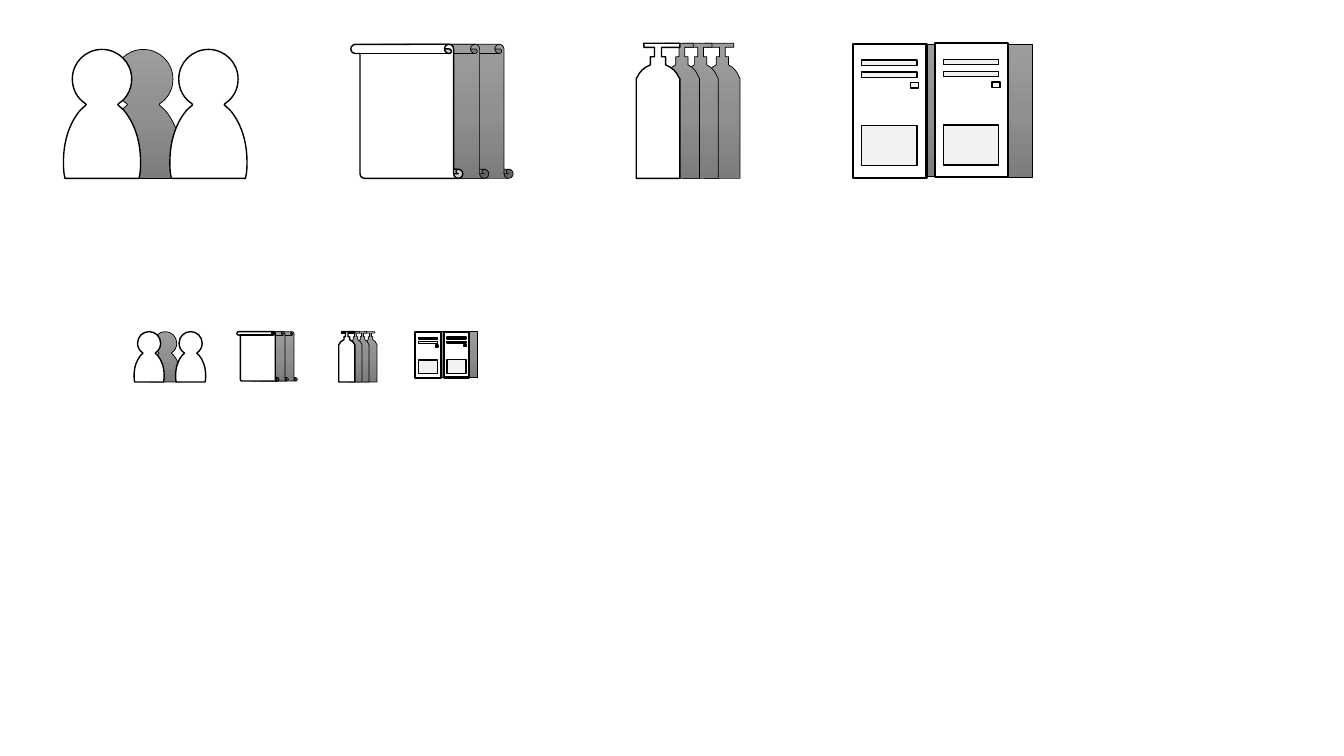
from copy import deepcopy
from pptx import Presentation, util as u
from pptx.dml.color import RGBColor
from pptx.enum import shapes as sh
from pptx.oxml.ns import qn


class Theme:
    ink, paper, panel = "000000", "FFFFFF", "F2F2F2"
    shade = ("9D9D9D", "909090", "7C7C7C")
    thin, line, bold = 0.5, 1, 1.5


# Right halves, as shares of half width and of height; six numbers make a curve.
PERSON = [(0, 0), (.42, 0, .77, .1, .77, .23), (.77, .31, .64, .38, .43, .42),
          (.41, .43), (.56, .47), (.82, .56, 1, .7, 1, .87),
          (1, .9, 1, .94, .98, .97), (.96, 1)]
BOTTLE = [(.16, .03), (.16, .1), (.35, .1), (.35, .16),
          (.66, .18, .84, .21, .95, .25), (1, .26), (1, .29), (1, 1)]
LABELS = [(.12, .12, .75, .04), (.12, .21, .75, .04),
          (.12, .61, .75, .3), (.78, .29, .11, .04)]


def inner(box, part):
    """Turn shares of a box into inches."""
    x, y, w, h = box
    a, b, c, d = part
    return x + a * w, y + b * h, c * w, d * h


def flat(steps):
    """List each point with a flag that tells if it steers a curve."""
    return [(step[k], step[k + 1], k + 2 < len(step))
            for step in steps for k in range(0, len(step), 2)]


def bend(shape, steers):
    """Join each pair of steering points and the next point into a curve."""
    nodes = shape.element.spPr.findall(".//" + qn("a:lnTo"))
    i = 0
    while i < len(nodes):
        if not steers[i]:
            i += 1
            continue
        nodes[i].tag = qn("a:cubicBezTo")
        for node in nodes[i + 1:i + 3]:
            nodes[i].append(node[0])
            node.getparent().remove(node)
        i += 3


def paint(shape, color, width):
    shape.shadow.inherit = False
    shape.line.color.rgb = RGBColor.from_string(Theme.ink)
    shape.line.width = u.Pt(width)
    if color != Theme.shade:
        shape.fill.solid()
        shape.fill.fore_color.rgb = RGBColor.from_string(color)
        return
    shape.fill.gradient()
    shape.fill.gradient_angle = 270
    stops = shape.element.spPr.find(".//" + qn("a:gsLst"))
    stops.insert(1, deepcopy(stops[0]))
    for i, stop in enumerate(shape.fill.gradient_stops):
        stop.color.rgb = RGBColor.from_string(color[i])
        stop.position = i / 2


def layer(front):
    return (Theme.paper, Theme.line) if front else (Theme.shade, Theme.thin)


def preset(group, kind, box, color, width):
    shape = group.shapes.add_shape(kind, *map(u.Inches, box))
    paint(shape, color, width)
    return shape


def rect(group, box, color, width):
    preset(group, sh.MSO_SHAPE.RECTANGLE, box, color, width)


def outline(group, box, right, left, front):
    """Draw a closed figure from its right half and its unmirrored left half."""
    x, y, w, h = box
    marks = flat(right) + [(-a, b, c) for a, b, c in reversed(flat(left))]
    pts = [(u.Inches(x + w / 2 * (1 + a)), u.Inches(y + h * b)) for a, b, _ in marks]
    pen = group.shapes.build_freeform(*pts[0])
    pen.add_line_segments(pts[1:], close=True)
    shape = pen.convert_to_shape()
    bend(shape, [c for _, _, c in marks[1:]])
    paint(shape, *layer(front))


def people(group, box):
    for left, front in ((.225, False), (0, True), (.58, True)):
        outline(group, inner(box, (left, 0, .42, 1)), PERSON, PERSON, front)


def scrolls(group, box):
    for left in (.31, .16, 0):
        shape = preset(group, sh.MSO_SHAPE.VERTICAL_SCROLL,
                       inner(box, (left, 0, .69, 1)), *layer(left == 0))
        shape.adjustments[0] = .082
        shape.element.spPr.xfrm.set("flipH", "1")


def bottles(group, box):
    long, short = [[(r, 0), (r, .03)] + BOTTLE for r in (1, .65)]
    for left in (.66, .45, .27):
        outline(group, inner(box, (left, 0, .34, 1)), short, long, False)
    outline(group, inner(box, (0, 0, .42, 1)), long, short, True)


def cabinets(group, box):
    for back, body in (((.225, .005, .49, .98), (0, .005, .41, .99)),
                       ((.68, .005, .32, .99), (.455, 0, .41, .99))):
        rect(group, inner(box, back), Theme.shade, Theme.thin)
        case = inner(box, body)
        rect(group, case, Theme.paper, Theme.bold)
        for part in LABELS:
            rect(group, inner(case, part), Theme.panel, Theme.line)


def main():
    deck = Presentation()
    deck.slide_width, deck.slide_height = u.Inches(13.33), u.Inches(7.5)
    slide = deck.slides.add_slide(deck.slide_layouts[6])
    large = ((.63, .49, 1.82, 1.28), (3.48, .44, 1.61, 1.33),
             (6.31, .43, 1.03, 1.34), (8.46, .43, 1.78, 1.34))
    small = ((1.33, 3.29, .71, .5), (2.35, 3.29, .6, .49),
             (3.36, 3.29, .38, .5), (4.12, 3.29, .62, .46))
    for row in (large, small):
        for draw, box in zip((people, scrolls, bottles, cabinets), row):
            draw(slide.shapes.add_group_shape(), box)
    deck.save("out.pptx")


if __name__ == "__main__":
    main()
